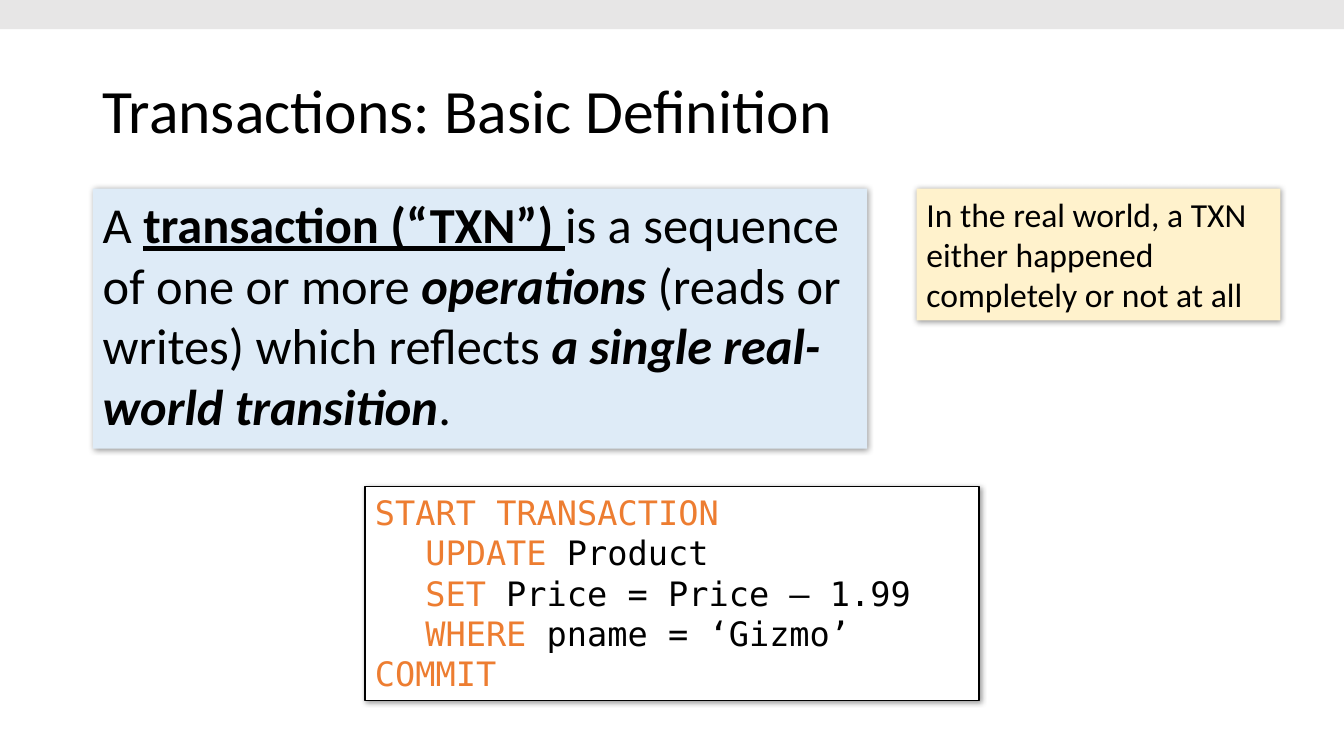
from dataclasses import dataclass
from typing import NamedTuple, Optional

import lxml.etree
import pptx
import pptx.dml.color
import pptx.enum.shapes
import pptx.enum.text
import pptx.oxml.ns
import pptx.util

EMU_PER_PX = 9144  # 100 px to the inch

BLACK = pptx.dml.color.RGBColor(0x00, 0x00, 0x00)
WHITE = pptx.dml.color.RGBColor(0xFF, 0xFF, 0xFF)
GREY = pptx.dml.color.RGBColor(0xE7, 0xE6, 0xE6)
BLUE = pptx.dml.color.RGBColor(0xDE, 0xEB, 0xF7)
YELLOW = pptx.dml.color.RGBColor(0xFF, 0xF2, 0xCC)
ORANGE = pptx.dml.color.RGBColor(0xED, 0x7D, 0x31)

BODY_FONT = "Calibri"
CODE_FONT = "DejaVu Sans Mono"

PLAIN = {}
TERM = {"bold": True, "underline": True}
EMPHASIS = {"bold": True, "italic": True}
KEYWORD = {"color": ORANGE}


class Piece(NamedTuple):
    text: str
    style: dict = PLAIN


# A paragraph is a list of lines, and a line is a list of pieces
Line = list[Piece]
Paragraph = list[Line]


@dataclass
class Panel:
    left: int
    top: int
    width: int
    height: int
    fill: pptx.dml.color.RGBColor
    paragraphs: list[Paragraph]
    size: int
    font: str = BODY_FONT
    outline: Optional[pptx.dml.color.RGBColor] = None
    wrap: bool = True


DEFINITION = Panel(92, 187, 768, 258, BLUE, [[[
    Piece("A "),
    Piece("transaction (“TXN”) ", TERM),
    Piece("is a sequence of one or more "),
    Piece("operations", EMPHASIS),
    Piece(" (reads or writes) which reflects "),
    Piece("a single real-world transition", EMPHASIS),
    Piece("."),
]]], 36)

SQL_EXAMPLE = Panel(362, 483, 609, 212, WHITE, [
    [[Piece("START TRANSACTION", KEYWORD)]],
    [
        [Piece("\t"), Piece("UPDATE", KEYWORD), Piece(" Product")],
        [Piece("\t"), Piece("SET", KEYWORD), Piece(" Price = Price – 1.99")],
        [Piece("\t"), Piece("WHERE ", KEYWORD), Piece("pname = ‘Gizmo’")],
    ],
    [[Piece("COMMIT", KEYWORD)]],
], 24, CODE_FONT, BLACK, False)

REAL_WORLD_NOTE = Panel(909, 187, 361, 131, YELLOW, [[[
    Piece("In the real world, a TXN either happened completely or not at all"),
]]], 24)


def px(length: int) -> pptx.util.Emu:
    return pptx.util.Emu(length * EMU_PER_PX)


def write_paragraphs(frame, paragraphs: list[Paragraph], size: int, font: str) -> None:
    for number, lines in enumerate(paragraphs):
        paragraph = frame.paragraphs[0] if number == 0 else frame.add_paragraph()
        paragraph.alignment = pptx.enum.text.PP_ALIGN.LEFT
        for line_number, pieces in enumerate(lines):
            if line_number:
                paragraph.add_line_break()
            for piece in pieces:
                run = paragraph.add_run()
                run.text = piece.text
                format_values = {"name": font, "size": pptx.util.Pt(size), "color": BLACK} | piece.style
                run.font.color.rgb = format_values.pop("color")
                for attribute, value in format_values.items():
                    setattr(run.font, attribute, value)


def add_rectangle(slide, left: int, top: int, width: int, height: int, fill):
    rectangle = slide.shapes.add_shape(
        pptx.enum.shapes.MSO_SHAPE.RECTANGLE, px(left), px(top), px(width), px(height))
    rectangle.shadow.inherit = False
    rectangle.fill.solid()
    rectangle.fill.fore_color.rgb = fill
    rectangle.line.fill.background()
    return rectangle


def add_soft_shadow(rectangle) -> None:
    qn = pptx.oxml.ns.qn
    effects = rectangle.element.spPr.find(qn("a:effectLst"))
    shadow = lxml.etree.SubElement(
        effects, qn("a:outerShdw"), blurRad=str(pptx.util.Pt(4)),
        dist=str(pptx.util.Pt(1)), dir=str(45 * 60000), algn="tl", rotWithShape="0")
    color = lxml.etree.SubElement(shadow, qn("a:srgbClr"), val=str(BLACK))
    lxml.etree.SubElement(color, qn("a:alpha"), val="40000")


def add_panel(slide, panel: Panel) -> None:
    rectangle = add_rectangle(
        slide, panel.left, panel.top, panel.width, panel.height, panel.fill)
    add_soft_shadow(rectangle)
    if panel.outline is not None:
        rectangle.line.color.rgb = panel.outline
        rectangle.line.width = pptx.util.Pt(0.75)
    frame = rectangle.text_frame
    frame_values = {
        "word_wrap": panel.wrap,
        "auto_size": pptx.enum.text.MSO_AUTO_SIZE.SHAPE_TO_FIT_TEXT,
        "vertical_anchor": pptx.enum.text.MSO_ANCHOR.TOP,
    }
    for attribute, value in frame_values.items():
        setattr(frame, attribute, value)
    write_paragraphs(frame, panel.paragraphs, panel.size, panel.font)


def add_title(slide, text: str) -> None:
    title = slide.shapes.add_textbox(px(92), px(40), px(1150), px(145))
    frame = title.text_frame
    frame.word_wrap = True
    frame.vertical_anchor = pptx.enum.text.MSO_ANCHOR.MIDDLE
    write_paragraphs(frame, [[[Piece(text)]]], 44, BODY_FONT)
    frame.paragraphs[0].line_spacing = 0.9


def main() -> None:
    presentation = pptx.Presentation()
    presentation.slide_width = px(1333)
    presentation.slide_height = px(750)
    slide = presentation.slides.add_slide(presentation.slide_layouts[6])

    # Heading
    add_title(slide, "Transactions: Basic Definition")

    # Definition and SQL example
    add_panel(slide, DEFINITION)
    add_panel(slide, SQL_EXAMPLE)

    # Band along the top edge
    add_rectangle(slide, 0, 0, 1333, 29, GREY)

    # Side note
    add_panel(slide, REAL_WORLD_NOTE)

    presentation.save("out.pptx")


if __name__ == "__main__":
    main()
